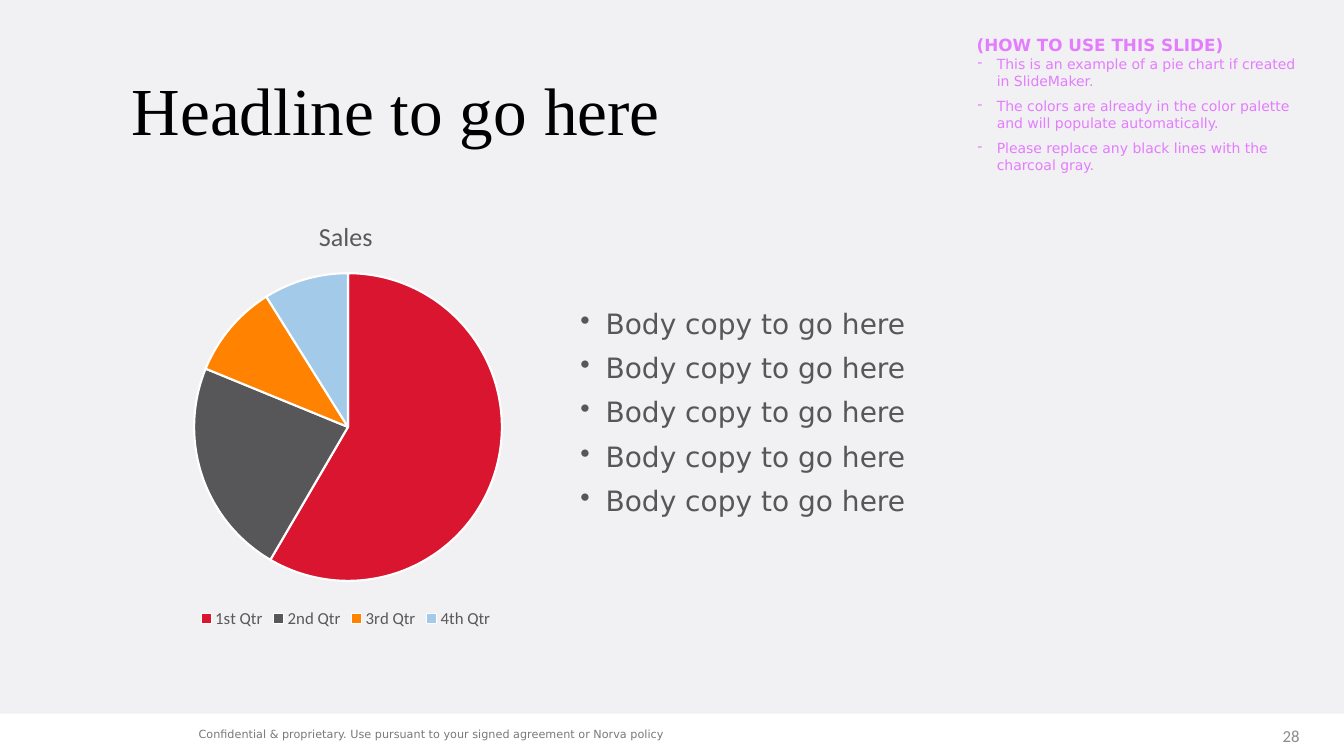
from lxml import etree
from pptx import Presentation
from pptx.chart.data import CategoryChartData
from pptx.dml.color import RGBColor
from pptx.enum.chart import XL_CHART_TYPE, XL_LEGEND_POSITION
from pptx.enum.shapes import MSO_SHAPE
from pptx.enum.text import MSO_ANCHOR, PP_ALIGN
from pptx.oxml import parse_xml
from pptx.oxml.ns import nsdecls, qn
from pptx.util import Inches, Pt

PIE = XL_CHART_TYPE.PIE
BOTTOM = XL_LEGEND_POSITION.BOTTOM
RECT = MSO_SHAPE.RECTANGLE
TOP, MIDDLE = MSO_ANCHOR.TOP, MSO_ANCHOR.MIDDLE
RIGHT = PP_ALIGN.RIGHT

SLIDE_W, SLIDE_H = Inches(13.33), Inches(7.5)
SANS, SERIF, CHART_FONT = "DejaVu Sans", "Times New Roman", "Calibri"
WHITE, BLACK, PANEL = "FFFFFF", "000000", "F1F1F3"
CHARCOAL, CHART_GRAY, PINK = "575759", "595959", "E47CFF"
FOOTER_GRAY, NUMBER_GRAY = "79797A", "8C8C8C"

QUARTERS = [("1st Qtr", 59, "DA1530"), ("2nd Qtr", 23, CHARCOAL),
            ("3rd Qtr", 10, "FF8200"), ("4th Qtr", 9, "A3CAE9")]
GUIDE_TIPS = [
    "This is an example of a pie chart if created in SlideMaker.",
    "The colors are already in the color palette and will populate automatically.",
    "Please replace any black lines with the charcoal gray.",
]


def rgb(hex_color):
    return RGBColor.from_string(hex_color)


def place(x, y, w, h):
    """Turn percentages of the slide's size into left, top, width, height."""
    return (int(SLIDE_W * x / 100), int(SLIDE_H * y / 100),
            int(SLIDE_W * w / 100), int(SLIDE_H * h / 100))


def set_font(font, name, size, color, bold=False):
    font.name, font.size, font.bold = name, Pt(size), bold
    font.color.rgb = rgb(color)


def add_panel(s, box, color):
    sp = s.shapes.add_shape(RECT, *place(*box))
    sp.shadow.inherit = False
    sp.fill.solid()
    sp.fill.fore_color.rgb = rgb(color)
    sp.line.fill.background()


def add_box(s, box, anchor=MIDDLE):
    tf = s.shapes.add_textbox(*place(*box)).text_frame
    tf.word_wrap = True
    tf.vertical_anchor = anchor
    return tf


def add_line(tf, text, name, size, color, bold=False, spacing=1.0):
    p = tf.paragraphs[0]
    if p.runs:
        p = tf.add_paragraph()
    p.line_spacing = spacing
    r = p.add_run()
    r.text = text
    set_font(r.font, name, size, color, bold)
    return p


def add_bullet(p, char, margin, hang):
    pPr = p._p.get_or_add_pPr()
    pPr.set("marL", str(Inches(margin)))
    pPr.set("indent", str(-Inches(hang)))
    etree.SubElement(pPr, qn("a:buChar")).set("char", char)


def set_plot_area(chart, **shares):
    """Fix the inner plot area to shares of the chart's size."""
    plot_area = chart._chartSpace.chart.plotArea
    for old in plot_area.findall(qn("c:layout")):
        plot_area.remove(old)
    edges = "".join(f'<c:{k} val="{v}"/>' for k, v in shares.items())
    plot_area.insert(0, parse_xml(
        f'<c:layout {nsdecls("c")}><c:manualLayout><c:layoutTarget val="inner"/>'
        f'<c:xMode val="edge"/><c:yMode val="edge"/>{edges}'
        '</c:manualLayout></c:layout>'))


def add_pie(s, box, title, slices):
    data = CategoryChartData()
    data.categories = [name for name, _, _ in slices]
    data.add_series(title, [value for _, value, _ in slices])
    chart = s.shapes.add_chart(PIE, *place(*box), data).chart
    set_font(chart.font, CHART_FONT, 10, BLACK)
    chart.has_title = True
    r = chart.chart_title.text_frame.paragraphs[0].add_run()
    r.text = title
    set_font(r.font, CHART_FONT, 18.6, CHART_GRAY)
    chart.has_legend = True
    chart.legend.position = BOTTOM
    chart.legend.include_in_layout = False
    set_font(chart.legend.font, CHART_FONT, 12, CHART_GRAY)
    plot = chart.plots[0]
    plot.vary_by_categories = True
    for i, (_, _, color) in enumerate(slices):
        fmt = plot.series[0].points[i].format
        fmt.fill.solid()
        fmt.fill.fore_color.rgb = rgb(color)
        fmt.line.color.rgb = rgb(WHITE)
        fmt.line.width = Pt(1.5)
    set_plot_area(chart, x=0.16, y=0.17, w=0.69, h=0.71)


def main():
    prs = Presentation()
    prs.slide_width, prs.slide_height = SLIDE_W, SLIDE_H
    s = prs.slides.add_slide(prs.slide_layouts[6])

    add_panel(s, (0, 0, 100, 94.4), PANEL)
    footer = add_box(s, (13.5, 95.33, 52.35, 3.87))
    footer.margin_left = footer.margin_right = Inches(0.17)
    footer.margin_top = footer.margin_bottom = Inches(0.09)
    add_line(footer, "Confidential & proprietary. Use pursuant to your signed "
             "agreement or Norva policy", SANS, 8, FOOTER_GRAY, spacing=0.9)
    number = add_box(s, (93, 94.67, 4.43, 5.33))
    add_line(number, "28", CHART_FONT, 12, NUMBER_GRAY).alignment = RIGHT

    title = add_box(s, (9.08, 5.33, 82.58, 19.33))
    add_line(title, "Headline to go here", SERIF, 48, BLACK, spacing=0.9)

    body = add_box(s, (42.45, 28, 49.2, 53.47))
    for i in range(5):
        p = add_line(body, "Body copy to go here", SANS, 20, CHARCOAL, spacing=0.9)
        add_bullet(p, "•", 0.25, 0.25)
        if i:
            p.space_before = Pt(10)

    add_pie(s, (9.08, 26.4, 33.3, 57.33), "Sales", QUARTERS)

    guide = add_box(s, (71.93, 4, 25.95, 19.73), TOP)
    add_line(guide, "(HOW TO USE THIS SLIDE)", SANS, 12, PINK, bold=True)
    for tip in GUIDE_TIPS:
        p = add_line(guide, tip, SANS, 10, PINK)
        add_bullet(p, "-", 0.2, 0.19)
        p.space_after = Pt(6)

    prs.save("out.pptx")


if __name__ == "__main__":
    main()
